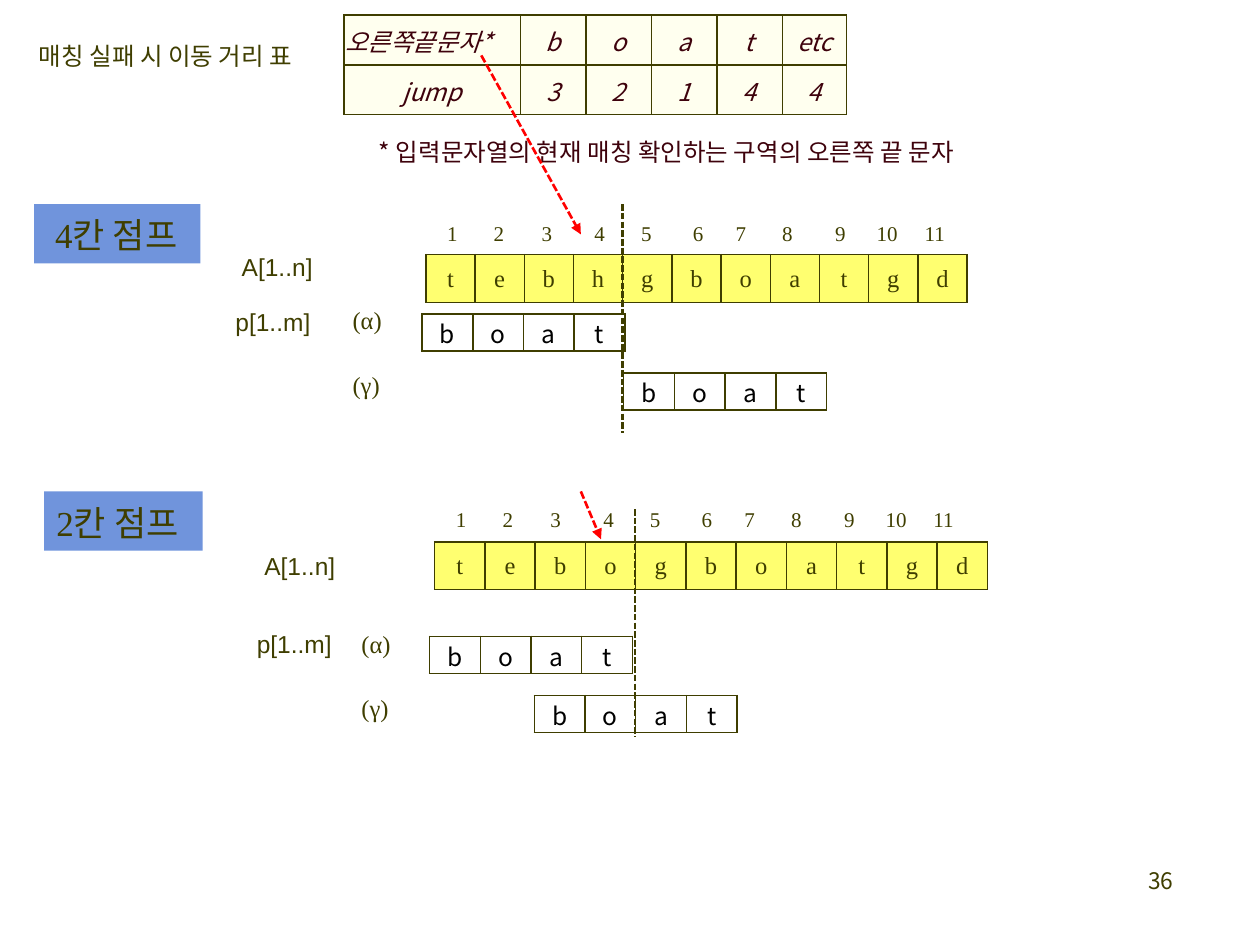
from dataclasses import dataclass
from itertools import accumulate

from lxml.etree import SubElement
from pptx import Presentation
from pptx.dml.color import RGBColor
from pptx.enum.dml import MSO_LINE
from pptx.enum.shapes import MSO_CONNECTOR, MSO_SHAPE
from pptx.enum.text import MSO_ANCHOR, MSO_AUTO_SIZE as AutoSize, PP_ALIGN as Align
from pptx.oxml.ns import qn
from pptx.util import Inches, Pt


@dataclass(frozen=True)
class Theme:
    olive: str = "3F3E00"
    maroon: str = "3E020C"
    black: str = "000000"
    red: str = "FF0000"
    yellow: str = "FFFF70"
    ivory: str = "FFFFEF"
    blue: str = "7094DC"
    korean: str = "Noto Sans CJK KR"
    serif: str = "Times New Roman"
    sans: str = "Arial"
    body: int = 14
    index: int = 12
    number: int = 13
    title: int = 20


THEME = Theme()


def write(frame, text, font=THEME.korean, size=THEME.body, color=THEME.olive,
          align=Align.LEFT, italic=None, spacing=None, tabs=()):
    paragraph = frame.paragraphs[0]
    paragraph.alignment = align
    if spacing:
        paragraph.line_spacing = spacing
    if tabs:
        tab_list = SubElement(paragraph._p.get_or_add_pPr(), qn("a:tabLst"))
        for stop in tabs:
            SubElement(tab_list, qn("a:tab"), pos=str(Inches(stop)), algn="l")
    run = paragraph.add_run()
    run.text = text
    run.font.name, run.font.size, run.font.italic = font, Pt(size), italic
    run.font.color.rgb = RGBColor.from_string(color)
    SubElement(run._r.get_or_add_rPr(), qn("a:ea"), typeface=THEME.korean)


def add_grid(rows, left, top, width, height, fill=None, **text_format):
    grid = slide.shapes.add_table(len(rows), len(rows[0]), Inches(left), Inches(top),
                                  Inches(width), Inches(height)).table
    grid.first_row = grid.horz_banding = False
    for r, row in enumerate(rows):
        for c, text in enumerate(row):
            cell = grid.cell(r, c)
            cell.margin_left = cell.margin_right = cell.margin_top = Inches(0.01)
            cell.margin_bottom = 0
            cell.vertical_anchor = MSO_ANCHOR.MIDDLE
            write(cell.text_frame, text, **{"align": Align.CENTER, **text_format})
            if fill:
                cell.fill.solid()
                cell.fill.fore_color.rgb = RGBColor.from_string(fill)
            else:
                cell.fill.background()
            # Cell borders go before the fill
            properties = cell._tc.get_or_add_tcPr()
            for position, side in enumerate(("lnL", "lnR", "lnT", "lnB")):
                border = SubElement(properties, qn(f"a:{side}"), w=str(Pt(1)))
                solid = SubElement(border, qn("a:solidFill"))
                SubElement(solid, qn("a:srgbClr"), val=THEME.olive)
                properties.insert(position, border)
    return grid


prs = Presentation()
prs.slide_width, prs.slide_height = Inches(10), Inches(7.5)
slide = prs.slides.add_slide(prs.slide_layouts[6])

# Jump distance table
jump_table = add_grid([["오른쪽끝문자*", "b", "o", "a", "t", "etc"],
                       ["jump", "3", "2", "1", "4", "4"]],
                      2.73, 0.12, 4, 0.79, fill=THEME.ivory, color=THEME.maroon, italic=True)
for column, width in zip(jump_table.columns, (1.4, 0.52, 0.52, 0.52, 0.52, 0.51)):
    column.width = Inches(width)
jump_table.cell(0, 0).text_frame.paragraphs[0].alignment = Align.LEFT

# Two matching cases: input string, then pattern before and after the jump
cases = [
    dict(input="tebhgboatgd", input_at=(3.38, 2.02), input_width=4.3,
         patterns=[(3.35, 2.49), (4.95, 2.96)]),
    dict(input="tebogboatgd", input_at=(3.45, 4.3), input_width=4.39,
         patterns=[(3.41, 5.05), (4.24, 5.52)]),
]
for case in cases:
    add_grid([case["input"]], *case["input_at"], case["input_width"], 0.38,
             fill=THEME.yellow, font=THEME.serif)
    for pattern_at in case["patterns"]:
        add_grid(["boat"], *pattern_at, 1.61, 0.24, color=THEME.black)

# Case titles
for text, left, top, width in [(" 4칸 점프", 0.27, 1.62, 1.32), ("2칸 점프", 0.35, 3.9, 1.26)]:
    title = slide.shapes.add_shape(MSO_SHAPE.RECTANGLE, Inches(left), Inches(top),
                                   Inches(width), Inches(0.47))
    title.shadow.inherit = False
    title.fill.solid()
    title.fill.fore_color.rgb = RGBColor.from_string(THEME.blue)
    title.line.fill.background()
    frame = title.text_frame
    frame.word_wrap, frame.auto_size = False, AutoSize.SHAPE_TO_FIT_TEXT
    frame.vertical_anchor = MSO_ANCHOR.TOP
    write(frame, text, font=THEME.serif, size=THEME.title, spacing=Pt(26))

# Labels: text, left, top, width, height, wrap, format
name_format = dict(font=THEME.sans, spacing=0.9)
step_format = dict(font=THEME.serif, spacing=0.9)
index_stops = list(accumulate((0.37, 0.38, 0.42, 0.37, 0.41, 0.34, 0.37, 0.42, 0.33, 0.38)))
index_format = dict(font=THEME.serif, size=THEME.index, spacing=0.9, tabs=index_stops)
indices = "\t".join(str(i) for i in range(1, 12))
labels = [
    ("A[1..n]", 1.82, 1.98, 0.77, 0.31, False, name_format),
    ("p[1..m]", 1.77, 2.41, 0.8, 0.31, False, name_format),
    ("(α)", 2.7, 2.4, 0.44, 0.31, False, step_format),
    ("(γ)", 2.7, 2.91, 0.42, 0.31, False, step_format),
    (indices, 3.45, 1.72, 4.54, 0.28, True, index_format),
    ("A[1..n]", 2, 4.35, 0.77, 0.31, False, name_format),
    ("p[1..m]", 1.94, 4.97, 0.8, 0.31, False, name_format),
    ("(α)", 2.77, 4.97, 0.44, 0.31, False, step_format),
    ("(γ)", 2.77, 5.48, 0.42, 0.31, False, step_format),
    (indices, 3.52, 3.99, 5.42, 0.28, True, index_format),
    ("* 입력문자열의 현재 매칭 확인하는 구역의 오른쪽 끝 문자", 2.91, 1.04, 6.2, 0.34, True,
     dict(color=THEME.maroon)),
    ("매칭 실패 시 이동 거리 표", 0.21, 0.15, 2.38, 0.44, False, dict(spacing=Pt(26))),
    ("36", 7.33, 6.83, 2.08, 0.5, True, dict(size=THEME.number, align=Align.RIGHT)),
]
for text, left, top, width, height, wrap, text_format in labels:
    frame = slide.shapes.add_textbox(Inches(left), Inches(top),
                                     Inches(width), Inches(height)).text_frame
    frame.word_wrap = wrap
    frame.auto_size = AutoSize.NONE if text == "36" else AutoSize.SHAPE_TO_FIT_TEXT
    write(frame, text, **text_format)

# Dashed boundaries and arrows to the rightmost compared character
lines = [
    (4.94, 1.62, 4.94, 3.44, THEME.olive, 1.25, False),
    (5.04, 4.04, 5.04, 5.85, THEME.olive, 1.25, False),
    (3.82, 0.44, 4.61, 1.86, THEME.red, 1.5, True),
    (4.61, 3.9, 4.77, 4.28, THEME.red, 1.5, True),
]
for x1, y1, x2, y2, color, weight, has_arrow in lines:
    connector = slide.shapes.add_connector(MSO_CONNECTOR.STRAIGHT, Inches(x1), Inches(y1),
                                           Inches(x2), Inches(y2))
    connector.line.color.rgb = RGBColor.from_string(color)
    connector.line.width = Pt(weight)
    connector.line.dash_style = MSO_LINE.SQUARE_DOT
    if has_arrow:
        SubElement(connector.line._get_or_add_ln(), qn("a:tailEnd"), type="triangle")
    SubElement(connector._element.spPr, qn("a:effectLst"))

prs.save("out.pptx")
